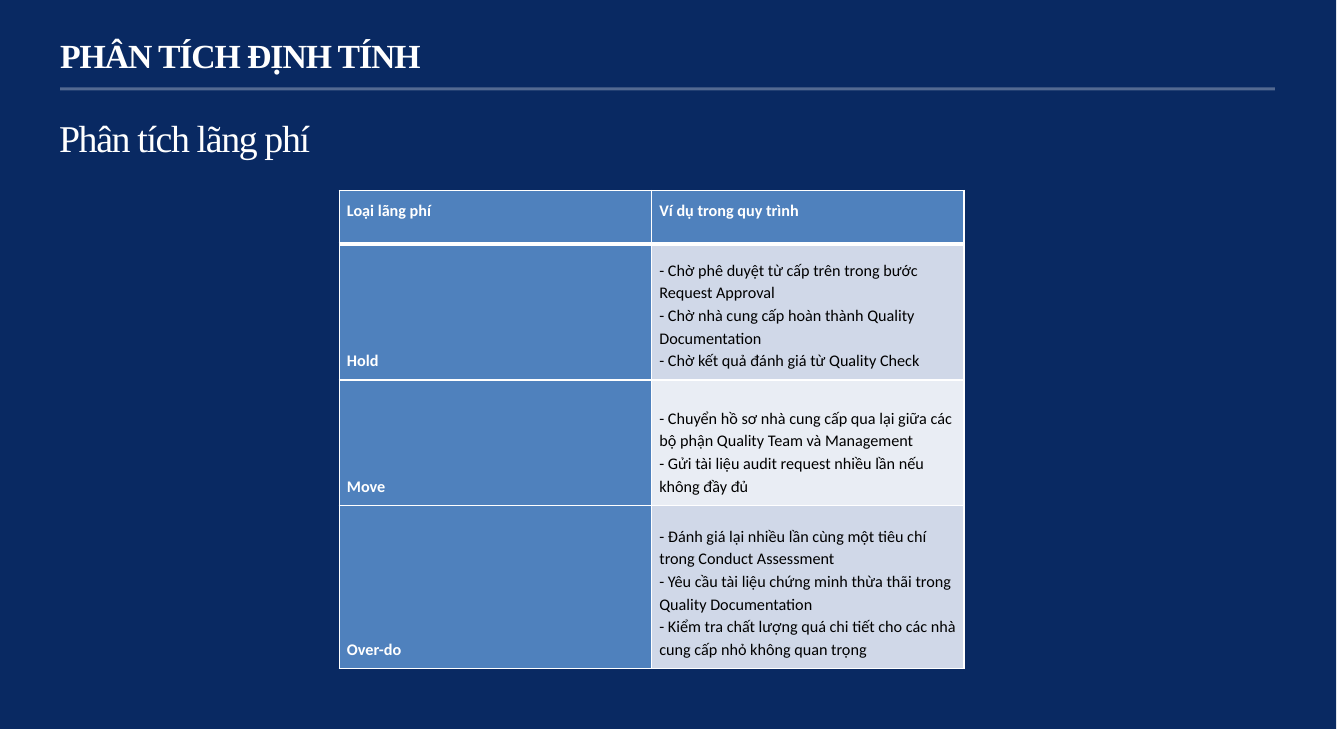
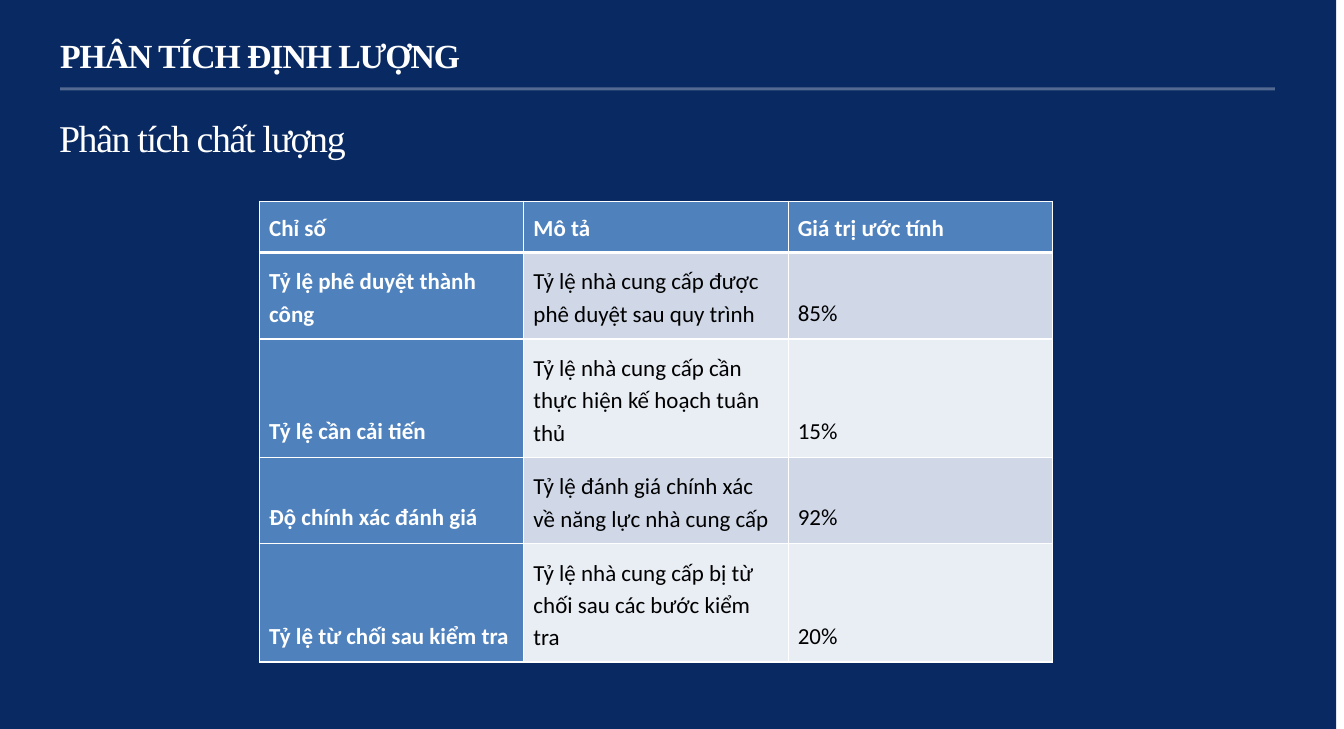
from copy import deepcopy
from lxml import etree
from pptx import Presentation
from pptx.dml.color import RGBColor
from pptx.enum import shapes, text
from pptx.oxml import ns
from pptx.util import Inches, Pt

NAVY, BLUE, WHITE, BLACK = "092962", "4F81BD", "FFFFFF", "000000"
BANDS = "D0D8E8", "E9EDF4"
SERIF, SANS = "Times New Roman", "Calibri"


def color(code):
    return RGBColor.from_string(code)


def sub(node, tag, **attrs):
    return etree.SubElement(node, ns.qn(tag), **attrs)


def write(frame, words, size=12, font=SANS, fill=WHITE, bold=False,
          track=0, indent=0, before=0, after=0, line=None):
    """Fill a text frame with one paragraph; a newline is a line break."""
    frame.word_wrap = True
    para = frame.paragraphs[0]
    para.text = words
    para.space_before, para.space_after = Pt(before), Pt(after)
    if line:
        para.line_spacing = line
    if indent:
        para._p.get_or_add_pPr().set("marL", str(Inches(indent)))
    for run in para.runs:
        face = run.font
        face.size, face.name, face.bold = Pt(size), font, bold
        face.color.rgb = color(fill)
        if track:
            run._r.get_or_add_rPr().set("spc", str(round(track * 100)))
    # Line breaks take the format of the text around them
    for br in para._p.findall(ns.qn("a:br")):
        br.insert(0, deepcopy(para.runs[0]._r.rPr))


class Deck:
    def __init__(self):
        self.prs = Presentation()
        self.prs.slide_width = Inches(13.83)
        self.prs.slide_height = Inches(7.5)

    def slide(self, title, topic):
        """Start a slide with its ground, rule, title and topic."""
        self.page = self.prs.slides.add_slide(self.prs.slide_layouts[6])
        self.rect(0, 0, 13.75, 7.5, NAVY)
        self.rect(0.62, 0.9, 12.5, 0.03, WHITE, 30)
        self.label(0.61, 0.35, 6.24, 0.45, title, (0, 0.01, 0, 0), size=25,
                   bold=True, track=-0.8, before=1)
        self.label(0.5, 1.13, 6.92, 0.57, topic, (0.1, 0.05, 0.1, 0.05),
                   size=28, track=-1, before=10.4)

    def rect(self, x, y, w, h, fill, alpha=100):
        box = self.page.shapes.add_shape(
            shapes.MSO_SHAPE.RECTANGLE, *map(Inches, (x, y, w, h)))
        box.shadow.inherit = False
        box.line.fill.background()
        box.fill.solid()
        box.fill.fore_color.rgb = color(fill)
        if alpha < 100:
            tint = box._element.spPr.find(".//" + ns.qn("a:srgbClr"))
            sub(tint, "a:alpha", val=str(alpha * 1000))

    def label(self, x, y, w, h, words, pads, **style):
        box = self.page.shapes.add_textbox(*map(Inches, (x, y, w, h)))
        self.pad(box.text_frame, pads)
        write(box.text_frame, words, font=SERIF, indent=0.01, **style)

    def pad(self, item, pads):
        (item.margin_left, item.margin_top,
         item.margin_right, item.margin_bottom) = map(Inches, pads)

    def edge(self, cell, **widths):
        """Draw the four cell borders; widths override 1 pt by side."""
        props = cell._tc.get_or_add_tcPr()
        for side in "LRTB":
            width = str(Pt(widths.get(side, 1)))
            line = sub(props, "a:ln" + side, w=width)
            sub(sub(line, "a:solidFill"), "a:srgbClr", val=WHITE)

    def table(self, x, y, width, heights, rows, size, side, foot):
        """Add a table with a header row, a header column and bands."""
        count = len(rows[0])
        grid = self.page.shapes.add_table(
            len(rows), count, Inches(x), Inches(y),
            Inches(width), Inches(sum(heights))).table
        for col in grid.columns:
            col.width = Inches(width / count)
        for r, (height, row) in enumerate(zip(heights, rows)):
            grid.rows[r].height = Inches(height)
            for c, words in enumerate(row):
                cell = grid.cell(r, c)
                head = r == 0 or c == 0
                self.edge(cell, B=3 if r == 0 else 1, T=3 if r == 1 else 1)
                cell.fill.solid()
                cell.fill.fore_color.rgb = color(
                    BLUE if head else BANDS[(r - 1) % 2])
                end = foot if r else side
                self.pad(cell, (side, end, side, end))
                cell.vertical_anchor = (text.MSO_ANCHOR.BOTTOM if r
                                        else text.MSO_ANCHOR.TOP)
                write(cell.text_frame, words, size=size, bold=head,
                      fill=WHITE if head else BLACK, line=1.15, after=8)


WASTE = [
    ("Loại lãng phí", "Ví dụ trong quy trình"),
    ("Hold",
     "- Chờ phê duyệt từ cấp trên trong bước Request Approval\n"
     "- Chờ nhà cung cấp hoàn thành Quality Documentation\n"
     "- Chờ kết quả đánh giá từ Quality Check"),
    ("Move",
     "- Chuyển hồ sơ nhà cung cấp qua lại giữa các bộ phận "
     "Quality Team và Management\n"
     "- Gửi tài liệu audit request nhiều lần nếu không đầy đủ"),
    ("Over-do",
     "- Đánh giá lại nhiều lần cùng một tiêu chí trong Conduct Assessment\n"
     "- Yêu cầu tài liệu chứng minh thừa thãi trong Quality Documentation\n"
     "- Kiểm tra chất lượng quá chi tiết cho các nhà cung cấp nhỏ "
     "không quan trọng"),
]
RATES = [
    ("Chỉ số", "Mô tả", "Giá trị ước tính"),
    ("Tỷ lệ phê duyệt thành công",
     "Tỷ lệ nhà cung cấp được phê duyệt sau quy trình", "85%"),
    ("Tỷ lệ cần cải tiến",
     "Tỷ lệ nhà cung cấp cần thực hiện kế hoạch tuân thủ", "15%"),
    ("Độ chính xác đánh giá",
     "Tỷ lệ đánh giá chính xác về năng lực nhà cung cấp", "92%"),
    ("Tỷ lệ từ chối sau kiểm tra",
     "Tỷ lệ nhà cung cấp bị từ chối sau các bước kiểm tra", "20%"),
]


def main():
    deck = Deck()

    # Qualitative analysis: kinds of waste
    deck.slide("PHÂN TÍCH ĐỊNH TÍNH", "Phân tích lãng phí")
    deck.table(3.49, 1.96, 6.43, (0.55, 1.4, 1.29, 1.68), WASTE,
               size=12, side=0.08, foot=0.09)

    # Quantitative analysis: quality rates
    deck.slide("PHÂN TÍCH ĐỊNH LƯỢNG", "Phân tích chất lượng")
    deck.table(2.67, 2.07, 8.16, (0.52, 0.87, 1.19, 0.87, 1.19), RATES,
               size=17, side=0.1, foot=0.12)

    deck.prs.save("out.pptx")


if __name__ == "__main__":
    main()
